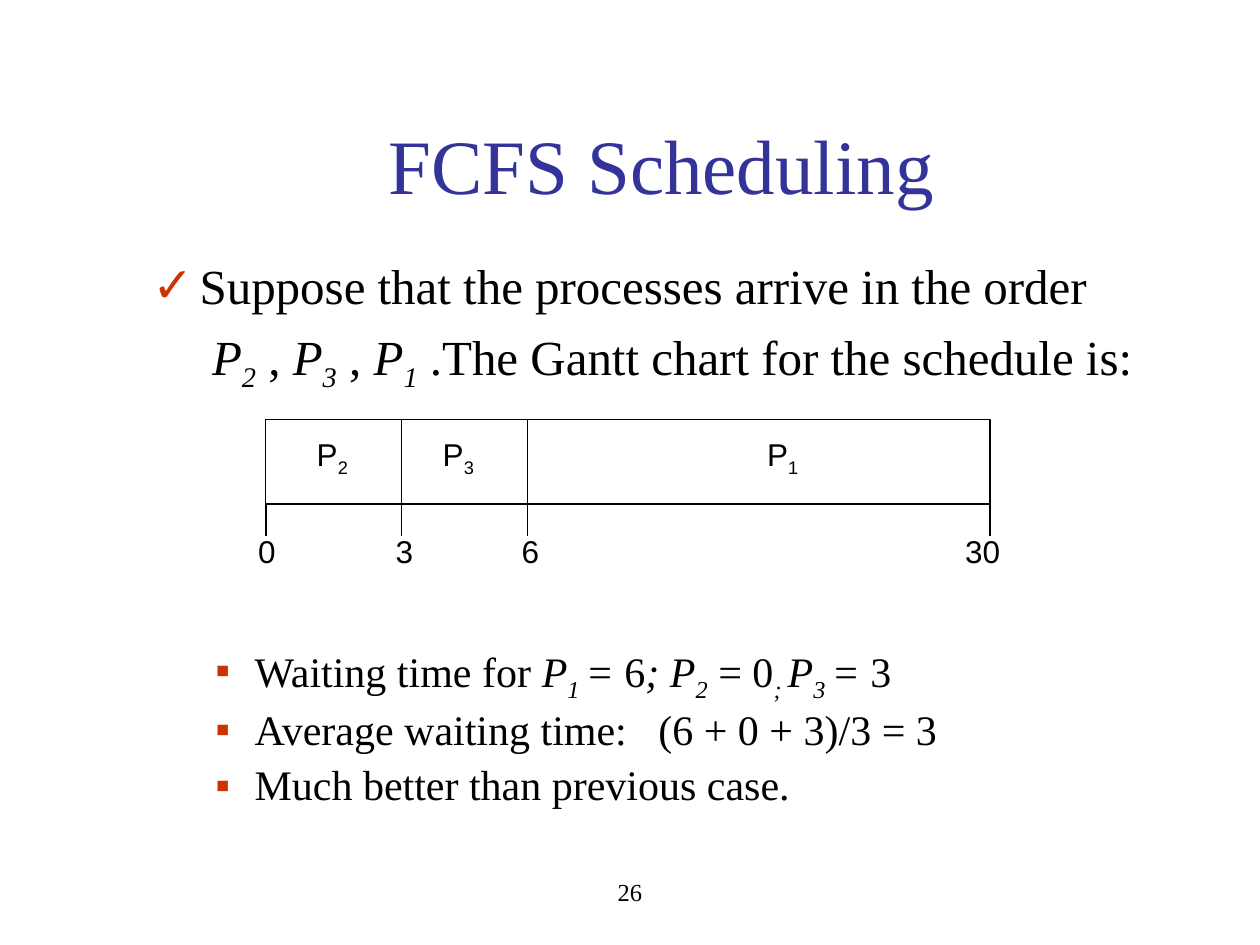
from dataclasses import dataclass

from lxml import etree
from pptx import Presentation
from pptx.dml.color import RGBColor
from pptx.enum.shapes import MSO_CONNECTOR, MSO_SHAPE
from pptx.enum.text import MSO_ANCHOR, MSO_AUTO_SIZE, PP_ALIGN
from pptx.oxml.ns import qn
from pptx.util import Cm, Pt

RECTANGLE = MSO_SHAPE.RECTANGLE
STRAIGHT = MSO_CONNECTOR.STRAIGHT
MIDDLE = MSO_ANCHOR.MIDDLE
CENTER = PP_ALIGN.CENTER
NO_AUTOFIT = MSO_AUTO_SIZE.NONE


@dataclass(frozen=True)
class Theme:
    serif: str = "Times New Roman"
    sans: str = "Arial"
    ink: str = "000000"
    paper: str = "FFFFFF"
    heading: str = "333399"
    bullet: str = "CC3300"
    title_size: int = 44
    intro_size: int = 28
    point_size: int = 24
    chart_size: int = 18
    number_size: int = 14
    line_width: float = 0.75


THEME = Theme()

# Runs are (text, style): "i" is italic, "s" is subscript.
INTRO = [("Suppose that the processes arrive in the order", "")]
ORDER = [("P", "i"), ("2", "is"), (" , ", ""), ("P", "i"), ("3", "is"),
         (" , ", ""), ("P", "i"), ("1", "is"),
         (" .The Gantt chart for the schedule is:", "")]
POINTS = [
    [("Waiting time for ", ""), ("P", "i"), ("1 ", "is"), ("=", "i"), (" 6", ""),
     ("; P", "i"), ("2", "is"), (" = 0", ""), ("; ", "is"), ("P", "i"),
     ("3 ", "is"), ("= ", "i"), ("3", "")],
    [("Average waiting time:   (6 + 0 + 3)/3 = 3", "")],
    [("Much better than previous case.", "")],
]
CHART_GAP = 148  # points left free for the Gantt chart

# Gantt chart, in centimetres
BAR_TOP, BAR_BOTTOM, TICK_BOTTOM = 8.46, 10.16, 10.8
TIMES = [("0", 5.36, 5.38), ("3", 8.1, 8.15),
         ("6", 10.64, 10.69), ("30", 19.96, 19.81)]  # time, tick x, label centre
PROCESSES = [("2", 6.7), ("3", 9.24), ("1", 15.78)]  # index, label centre


def place(shape, left, top, width, height):
    shape.left, shape.top = Cm(left), Cm(top)
    shape.width, shape.height = Cm(width), Cm(height)


def set_font(paragraph, name, size, color=THEME.ink):
    font = paragraph.font
    font.name, font.size = name, Pt(size)
    font.color.rgb = RGBColor.from_string(color)


def add_runs(paragraph, runs):
    for text, style in runs:
        run = paragraph.add_run()
        run.text = text
        if "i" in style:
            run.font.italic = True
        if "s" in style:
            run.font._element.set("baseline", "-25000")


def set_bullet(paragraph, margin, hanging, char=None):
    """Set the indents in cm, and a coloured bullet or none."""
    properties = paragraph._p.get_or_add_pPr()
    properties.set("marL", str(Cm(margin)))
    properties.set("indent", str(-Cm(hanging)))
    if char is None:
        etree.SubElement(properties, qn("a:buNone"))
        return
    color = etree.SubElement(properties, qn("a:buClr"))
    etree.SubElement(color, qn("a:srgbClr"), val=THEME.bullet)
    etree.SubElement(properties, qn("a:buChar"), char=char)


def add_list_line(paragraph, runs, size, before, indents, char=None, level=0):
    paragraph.level = level
    paragraph.line_spacing = 0.9
    paragraph.space_before = Pt(before)
    set_bullet(paragraph, *indents, char)
    set_font(paragraph, THEME.serif, size)
    add_runs(paragraph, runs)


def add_label(shapes, runs, center, top, width, height, font, size):
    label = shapes.add_textbox(Cm(center - width / 2), Cm(top), Cm(width), Cm(height))
    frame = label.text_frame
    frame.word_wrap = False
    frame.vertical_anchor = MIDDLE
    paragraph = frame.paragraphs[0]
    paragraph.alignment = CENTER
    set_font(paragraph, font, size)
    add_runs(paragraph, runs)


def add_vertical(shapes, x, top, bottom):
    line = shapes.add_connector(STRAIGHT, Cm(x), Cm(top), Cm(x), Cm(bottom))
    line.line.color.rgb = RGBColor.from_string(THEME.ink)
    line.line.width = Pt(THEME.line_width)
    etree.SubElement(line._element.spPr, qn("a:effectLst"))


def add_title(slide):
    title = slide.shapes.title
    place(title, 2.54, 1.7, 21.59, 3.18)
    frame = title.text_frame
    frame.auto_size = NO_AUTOFIT
    frame.vertical_anchor = MIDDLE
    heading = frame.paragraphs[0]
    heading.alignment = CENTER
    set_font(heading, THEME.serif, THEME.title_size, THEME.heading)
    add_runs(heading, [("FCFS Scheduling", "")])


def add_body(slide):
    body = slide.placeholders[1]
    place(body, 2.82, 5.16, 20.96, 11.43)
    frame = body.text_frame
    frame.auto_size = NO_AUTOFIT
    add_list_line(frame.paragraphs[0], INTRO, THEME.intro_size, 7, (0.95, 0.95), "✓")
    add_list_line(frame.add_paragraph(), ORDER, THEME.intro_size, 7, (1.2, 0))
    for index, runs in enumerate(POINTS):
        before = 6 if index else CHART_GAP
        add_list_line(frame.add_paragraph(), runs, THEME.point_size, before,
                      (2.06, 0.79), "▪", level=1)


def add_gantt_chart(slide):
    shapes = slide.shapes.add_group_shape().shapes
    start, end = TIMES[0][1], TIMES[-1][1]
    bar = shapes.add_shape(RECTANGLE, Cm(start), Cm(BAR_TOP),
                           Cm(end - start), Cm(BAR_BOTTOM - BAR_TOP))
    bar.shadow.inherit = False
    bar.fill.solid()
    bar.fill.fore_color.rgb = RGBColor.from_string(THEME.paper)
    bar.line.color.rgb = RGBColor.from_string(THEME.ink)
    bar.line.width = Pt(THEME.line_width)
    for index, center in PROCESSES:
        add_label(shapes, [("P", ""), (index, "s")], center, 8.64, 1.14, 1.12,
                  THEME.sans, THEME.chart_size)
    for _, x, _ in TIMES[1:-1]:
        add_vertical(shapes, x, BAR_TOP, BAR_BOTTOM)
    for time, x, center in TIMES:
        add_vertical(shapes, x, BAR_BOTTOM, TICK_BOTTOM)
        add_label(shapes, [(time, "")], center, 10.59, 0.51 + 0.35 * len(time), 1.02,
                  THEME.sans, THEME.chart_size)


def main():
    deck = Presentation()
    deck.slide_width, deck.slide_height = Cm(25.4), Cm(19.05)
    slide = deck.slides.add_slide(deck.slide_layouts[1])
    add_label(slide.shapes, [("26", "")], 12.7, 17.35, 8.05, 1.27,
              THEME.serif, THEME.number_size)
    add_title(slide)
    add_body(slide)
    add_gantt_chart(slide)
    deck.save("out.pptx")


if __name__ == "__main__":
    main()
